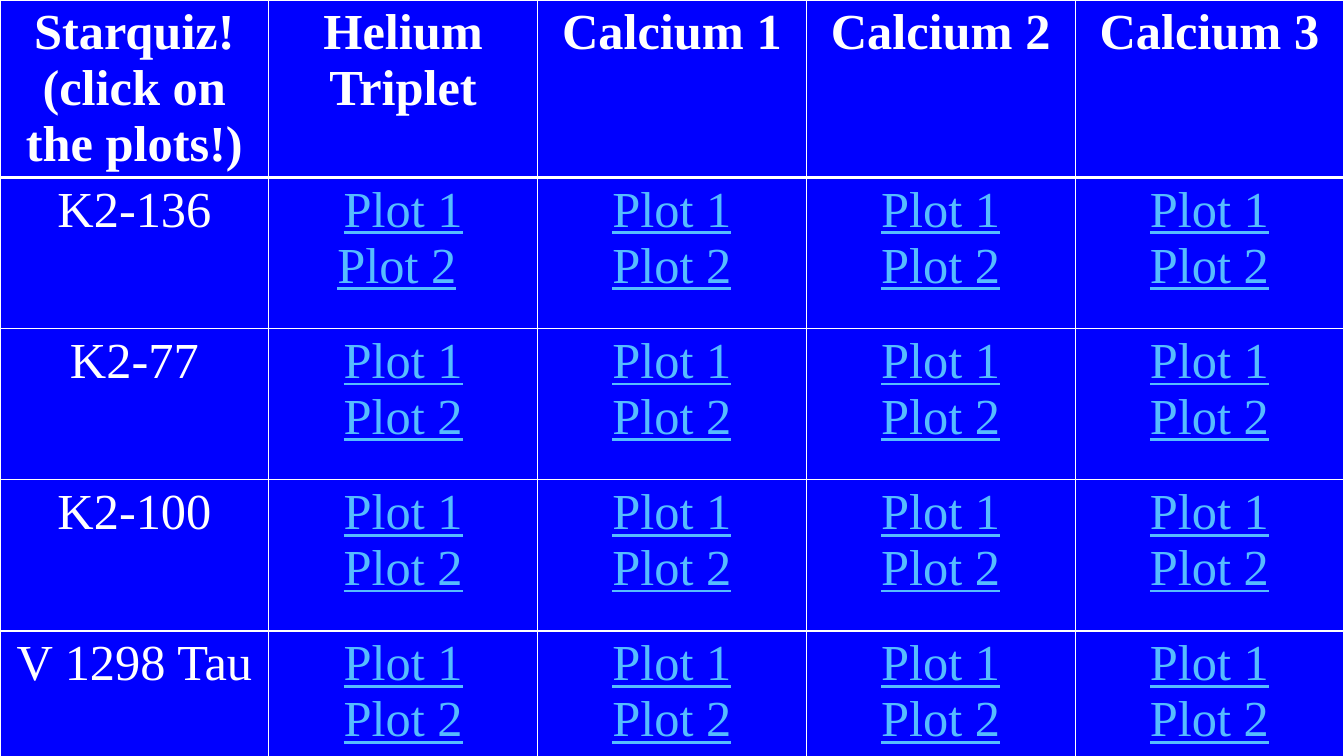
from lxml import etree
from pptx import Presentation
from pptx.dml.color import RGBColor
from pptx.enum.text import PP_ALIGN
from pptx.oxml import parse_xml
from pptx.oxml.ns import nsdecls
from pptx.util import Inches, Pt

WHITE, BLUE, LINK_BLUE = "FFFFFF", "0000FF", "56BCFE"
HEADINGS = ["Starquiz! (click on the plots!)", "Helium Triplet",
            "Calcium 1", "Calcium 2", "Calcium 3"]
STARS = ["K2-136", "K2-77", "K2-100", "V 1298 Tau"]
PLOTS = ["Plot 1", "Plot 2"]


def paint(color_format, color):
    color_format.rgb = RGBColor.from_string(color)


def set_background(slide):
    fill = slide.background.fill
    fill.gradient()
    fill.gradient_angle = 270
    for stop, color in zip(fill.gradient_stops, (WHITE, "B9B9B9")):
        paint(stop.color, color)


def fill_cell(cell, lines, color=WHITE, bold=False, underline=False):
    cell.fill.solid()
    paint(cell.fill.fore_color, BLUE)
    cell.text = "\n".join(lines)
    for paragraph in cell.text_frame.paragraphs:
        paragraph.alignment = PP_ALIGN.CENTER
        font = paragraph.font
        font.name, font.size = "Times New Roman", Pt(36)
        font.bold, font.underline = bold, underline
        paint(font.color, color)


def add_bottom_border(cell, color, width):
    border = parse_xml(f'<a:lnB {nsdecls("a")} w="{width}"/>')
    fill = etree.SubElement(border, border.tag.replace("lnB", "solidFill"))
    etree.SubElement(fill, border.tag.replace("lnB", "srgbClr"), val=color)
    cell._tc.get_or_add_tcPr().insert(0, border)


def add_game_board(slide, left, top, width, height):
    """Lay out stars by row and spectral lines by column; the table style draws the thin grid."""
    rows, columns = len(STARS) + 1, len(HEADINGS)
    board = slide.shapes.add_table(rows, columns, left, top, width, height).table
    for column, heading in enumerate(HEADINGS):
        heading_cell = board.cell(0, column)
        fill_cell(heading_cell, [heading], bold=True)
        add_bottom_border(heading_cell, WHITE, Pt(3))
    for row, star in enumerate(STARS, start=1):
        fill_cell(board.cell(row, 0), [star])
        for column in range(1, columns):
            fill_cell(board.cell(row, column), PLOTS, LINK_BLUE, underline=True)

    trailing_space = board.cell(1, 1).text_frame.paragraphs[-1].add_run()
    trailing_space.text = " "
    trailing_space.font.underline = False
    paint(trailing_space.font.color, WHITE)


def main():
    presentation = Presentation()
    presentation.slide_width = Inches(13.33)
    presentation.slide_height = Inches(7.5)
    slide = presentation.slides.add_slide(presentation.slide_layouts[6])
    set_background(slide)
    add_game_board(slide, Inches(0), Inches(0),
                   presentation.slide_width, presentation.slide_height)
    presentation.save("out.pptx")


if __name__ == "__main__":
    main()
